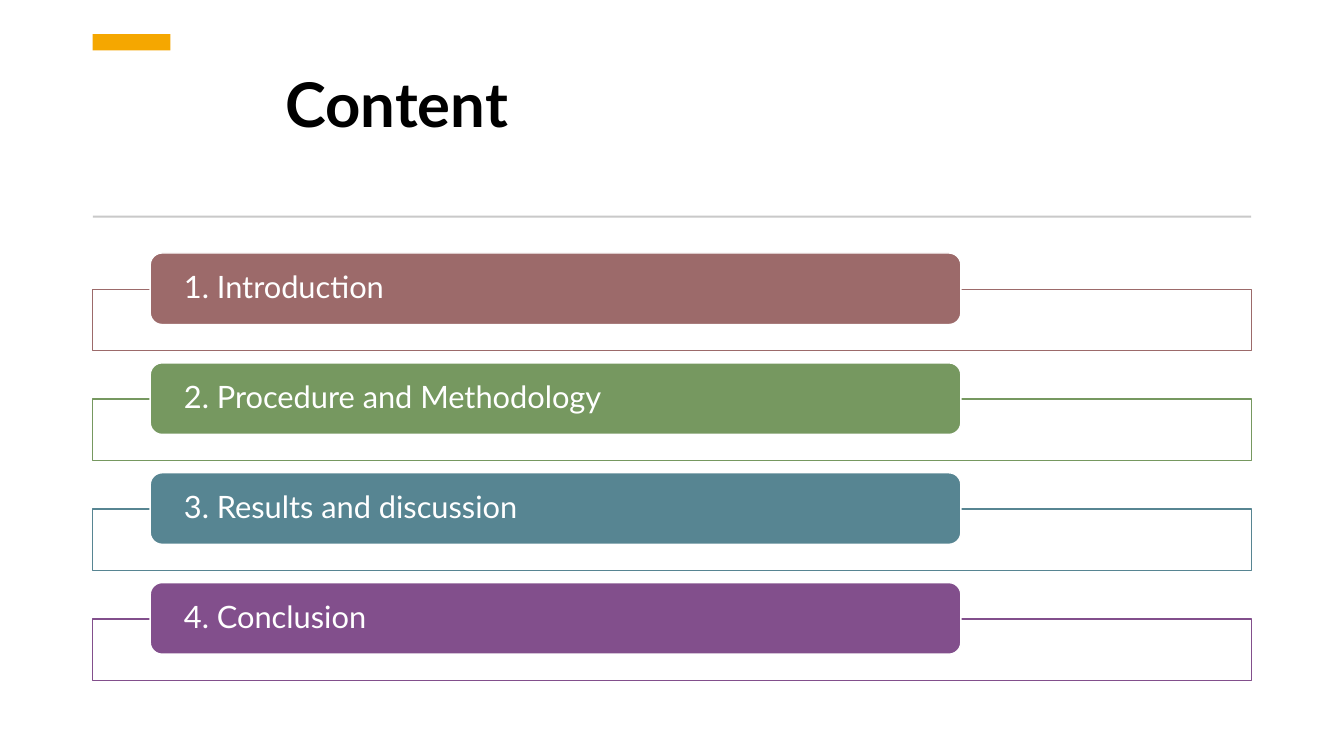
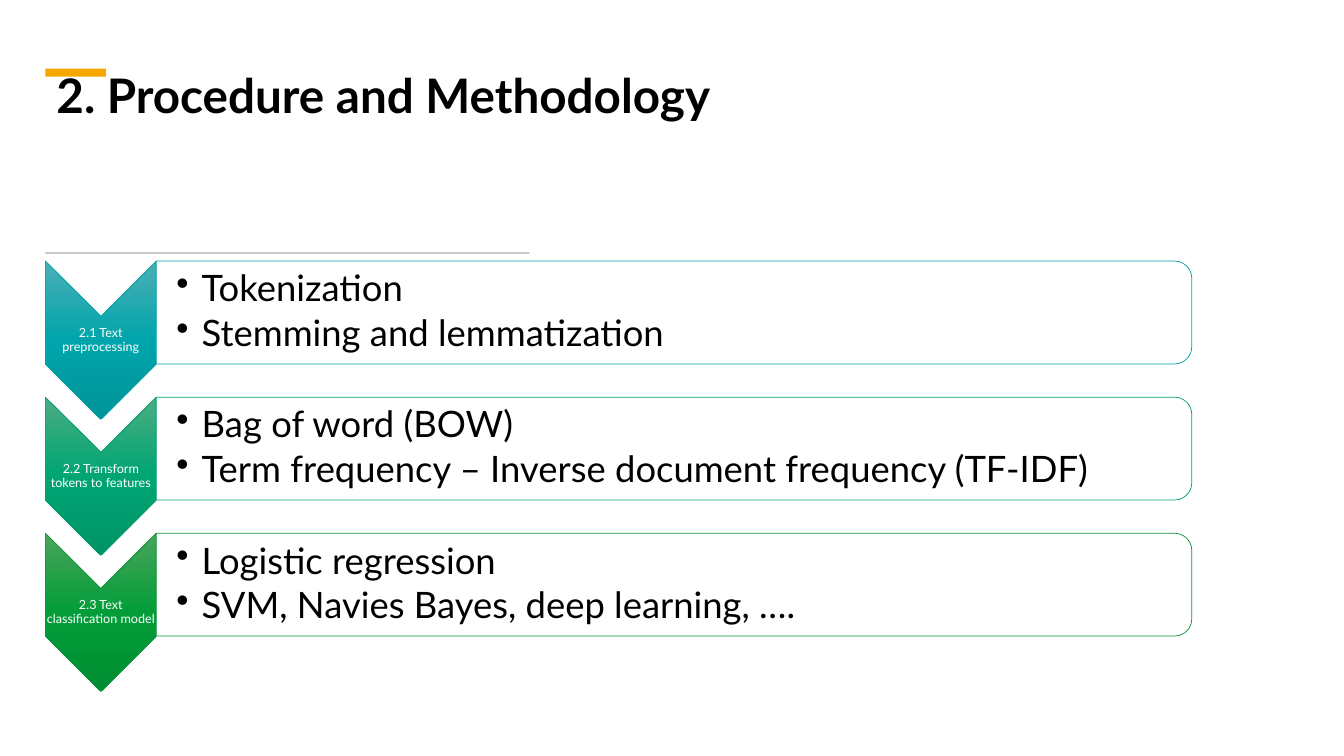
import copy
from dataclasses import dataclass
from typing import NamedTuple

import pptx
import pptx.dml.color
import pptx.enum.shapes
import pptx.enum.text
import pptx.oxml.ns
import pptx.presentation
import pptx.shapes.autoshape
import pptx.slide
import pptx.text.text
import pptx.util
from lxml import etree

Inches = pptx.util.Inches
Pt = pptx.util.Pt
RGBColor = pptx.dml.color.RGBColor
Preset = pptx.enum.shapes.MSO_SHAPE
Anchor = pptx.enum.text.MSO_ANCHOR
Align = pptx.enum.text.PP_ALIGN

FONT = "Lato"
BLACK = RGBColor(0x00, 0x00, 0x00)
WHITE = RGBColor(0xFF, 0xFF, 0xFF)
AMBER = RGBColor(0xF5, 0xA7, 0x00)
RULE_GREY = RGBColor(0xC9, 0xC9, 0xC9)
ROSE = RGBColor(0x9C, 0x6A, 0x6A)
MOSS = RGBColor(0x76, 0x98, 0x60)
STEEL = RGBColor(0x57, 0x85, 0x92)
PLUM = RGBColor(0x82, 0x4F, 0x8C)
TEAL_SHADES = (RGBColor(0x4B, 0xAF, 0xB5), RGBColor(0x00, 0xA5, 0xAB), RGBColor(0x00, 0x93, 0x98))
JADE_SHADES = (RGBColor(0x4B, 0xAD, 0x82), RGBColor(0x00, 0xA5, 0x73), RGBColor(0x00, 0x93, 0x66))
GREEN_SHADES = (RGBColor(0x4B, 0xA4, 0x5B), RGBColor(0x02, 0x9D, 0x39), RGBColor(0x00, 0x8D, 0x32))
TEAL = RGBColor(0x00, 0xA5, 0xAB)
JADE = RGBColor(0x05, 0xA0, 0x71)
GREEN = RGBColor(0x09, 0x96, 0x3B)

BAR_TOP, BAR_STEP = 2.51, 1.09
STEP_TOP, STEP_PITCH = 2.59, 1.35


class Box(NamedTuple):
    left: float
    top: float
    width: float
    height: float

    def lengths(self) -> list[int]:
        return [Inches(value) for value in self]

    def before_quarter_turn(self) -> "Box":
        shift = (self.width - self.height) / 2
        return Box(self.left + shift, self.top - shift, self.height, self.width)


class Insets(NamedTuple):
    left: float
    top: float
    right: float
    bottom: float


@dataclass(frozen=True)
class Header:
    title: str
    size: int
    title_box: Box
    anchor: Anchor
    accent_box: Box
    rule_box: Box


@dataclass(frozen=True)
class AgendaItem:
    label: str
    color: RGBColor


@dataclass(frozen=True)
class Step:
    label: str
    points: tuple[str, ...]
    shades: tuple[RGBColor, ...]
    outline: RGBColor


AGENDA_HEADER = Header(
    "Content", 44, Box(2.73, 0.68, 9.55, 0.77), Anchor.BOTTOM,
    Box(0.92, 0.34, 0.77, 0.16), Box(0.92, 2.14, 11.49, 0.02),
)
AGENDA = (
    AgendaItem("1. Introduction", ROSE),
    AgendaItem("2. Procedure and Methodology", MOSS),
    AgendaItem("3. Results and discussion", STEEL),
    AgendaItem("4. Conclusion", PLUM),
)
METHOD_HEADER = Header(
    "2. Procedure and Methodology", 34, Box(0.46, 0.67, 8.59, 1.19), Anchor.TOP,
    Box(0.45, 0.68, 0.6, 0.08), Box(0.45, 2.5, 4.8, 0.02),
)
STEPS = (
    Step("2.1 Text preprocessing", ("Tokenization", "Stemming and lemmatization"),
         TEAL_SHADES, TEAL),
    Step("2.2 Transform tokens to features",
         ("Bag of word (BOW)", "Term frequency – Inverse document frequency (TF-IDF)"),
         JADE_SHADES, JADE),
    Step("2.3 Text classification model",
         ("Logistic regression", "SVM, Navies Bayes, deep learning, …."),
         GREEN_SHADES, GREEN),
)


def add_block(
    page: pptx.slide.Slide, preset: Preset, box: Box, fill: RGBColor,
    outline: RGBColor | None = None, weight: float = 1,
) -> pptx.shapes.autoshape.Shape:
    shape = page.shapes.add_shape(preset, *box.lengths())
    shape.shadow.inherit = False
    shape.fill.solid()
    shape.fill.fore_color.rgb = fill
    if outline is None:
        shape.line.fill.background()
    else:
        shape.line.color.rgb = outline
        shape.line.width = Pt(weight)
    return shape


def write(
    frame: pptx.text.text.TextFrame, text: str, size: int, color: RGBColor,
    anchor: Anchor = Anchor.MIDDLE, insets: Insets = Insets(0.1, 0.05, 0.1, 0.05),
    align: Align = Align.LEFT, bold: bool = False,
) -> None:
    frame.text = text
    frame.word_wrap = True
    frame.auto_size = pptx.enum.text.MSO_AUTO_SIZE.NONE
    frame.vertical_anchor = anchor
    frame.margin_left, frame.margin_top, frame.margin_right, frame.margin_bottom = map(Inches, insets)
    for para in frame.paragraphs:
        para.alignment = align
        para.line_spacing = 0.9
        for span in para.runs:
            span.font.name = FONT
            span.font.size = Pt(size)
            span.font.bold = bold
            span.font.color.rgb = color


def add_bullets(frame: pptx.text.text.TextFrame) -> None:
    for para in frame.paragraphs:
        para.space_after = Pt(4)
        properties = para._p.get_or_add_pPr()
        properties.set("marL", str(Inches(0.25)))
        properties.set("indent", str(-Inches(0.25)))
        bullet = etree.SubElement(properties, pptx.oxml.ns.qn("a:buChar"))
        bullet.set("char", "•")


def shade(shape: pptx.shapes.autoshape.Shape, shades: tuple[RGBColor, ...]) -> None:
    shape.fill.gradient()
    shape.fill.gradient_angle = 270
    gradient = shape._element.spPr.find(pptx.oxml.ns.qn("a:gradFill"))
    gradient.set("rotWithShape", "0")
    stops = gradient.find(pptx.oxml.ns.qn("a:gsLst"))
    stops.append(copy.deepcopy(stops[0]))
    for index, (stop, color) in enumerate(zip(shape.fill.gradient_stops, shades)):
        stop.position = index / (len(shades) - 1)
        stop.color.rgb = color


def add_page(deck: pptx.presentation.Presentation, header: Header) -> pptx.slide.Slide:
    page = deck.slides.add_slide(deck.slide_layouts.get_by_name("Title Only"))
    title = page.shapes.title
    title.left, title.top, title.width, title.height = header.title_box.lengths()
    write(title.text_frame, header.title, header.size, BLACK, header.anchor, bold=True)
    add_block(page, Preset.RECTANGLE, header.accent_box, AMBER)
    add_block(page, Preset.RECTANGLE, header.rule_box, RULE_GREY)
    return page


def add_agenda_item(page: pptx.slide.Slide, item: AgendaItem, top: float) -> None:
    add_block(page, Preset.RECTANGLE, Box(0.92, top + 0.36, 11.49, 0.61), WHITE, item.color)
    bar = add_block(page, Preset.ROUNDED_RECTANGLE, Box(1.49, top, 8.04, 0.71), item.color, WHITE)
    write(bar.text_frame, item.label, 22, WHITE, insets=Insets(0.3, 0, 0.3, 0))


def add_step(page: pptx.slide.Slide, step: Step, top: float) -> None:
    chevron_box = Box(0.45, top, 1.1, 1.57).before_quarter_turn()
    chevron = add_block(page, Preset.CHEVRON, chevron_box, step.outline, step.outline, 0.5)
    chevron.rotation = 90
    shade(chevron, step.shades)
    label = page.shapes.add_textbox(*Box(0.45, top + 0.55, 1.1, 0.47).lengths())
    write(label.text_frame, step.label, 9, WHITE,
          insets=Insets(0.01, 0.01, 0.01, 0.01), align=Align.CENTER)

    panel_box = Box(1.55, top, 10.27, 1.02).before_quarter_turn()
    panel = add_block(page, Preset.ROUND_2_SAME_RECTANGLE, panel_box, WHITE, step.outline, 0.5)
    panel.rotation = 90
    points = page.shapes.add_textbox(*Box(1.55, top + 0.05, 10.22, 0.92).lengths())
    write(points.text_frame, "\n".join(step.points), 26, BLACK,
          insets=Insets(0.2, 0.02, 0.02, 0.02))
    add_bullets(points.text_frame)


def main() -> None:
    deck = pptx.Presentation()
    deck.slide_width, deck.slide_height = Inches(13.33), Inches(7.5)

    agenda_page = add_page(deck, AGENDA_HEADER)
    for index, item in enumerate(AGENDA):
        add_agenda_item(agenda_page, item, BAR_TOP + index * BAR_STEP)

    method_page = add_page(deck, METHOD_HEADER)
    for index, step in enumerate(STEPS):
        add_step(method_page, step, STEP_TOP + index * STEP_PITCH)

    deck.save("out.pptx")


if __name__ == "__main__":
    main()
